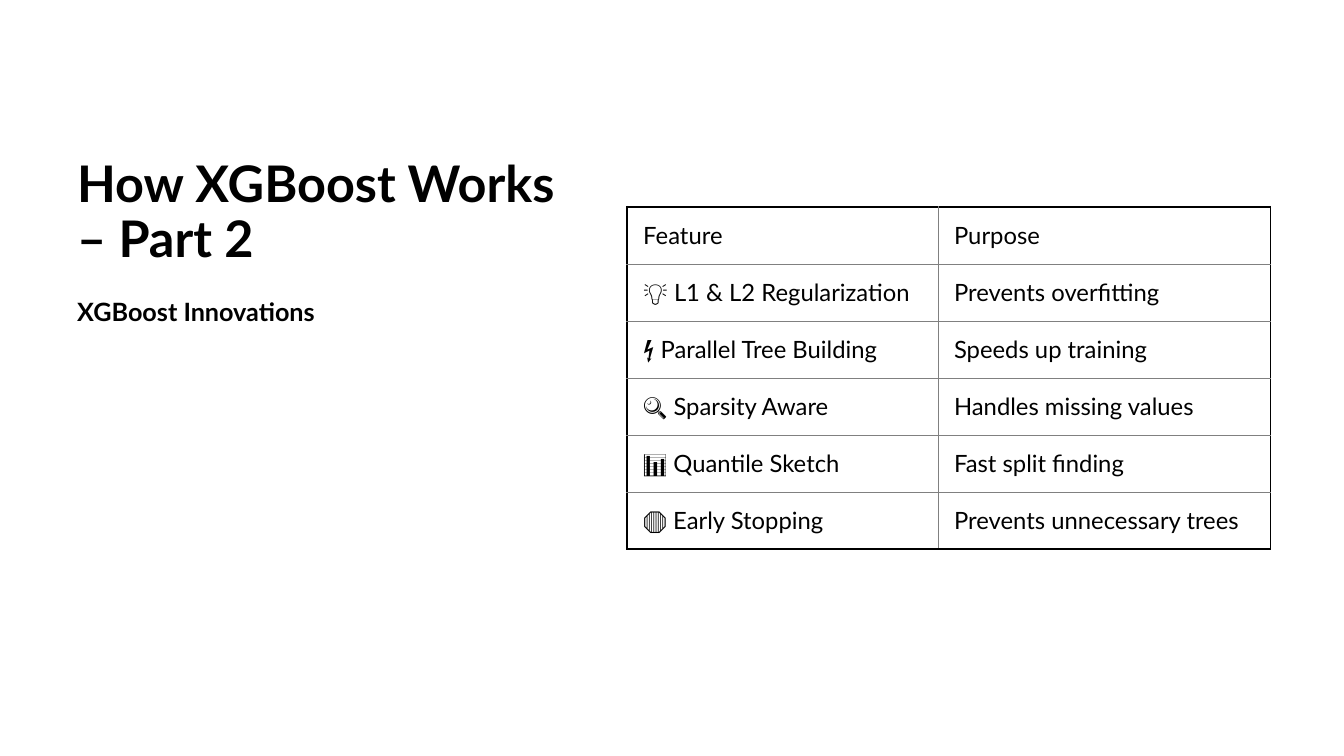
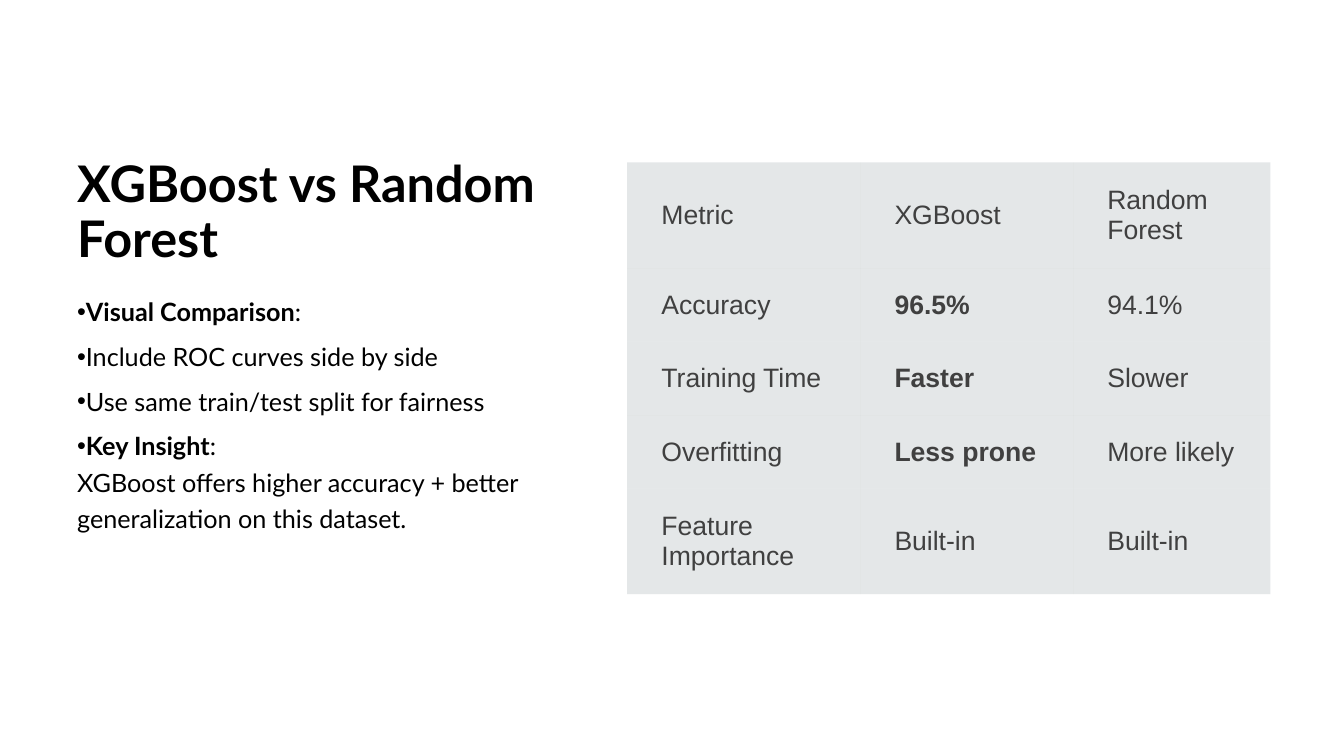
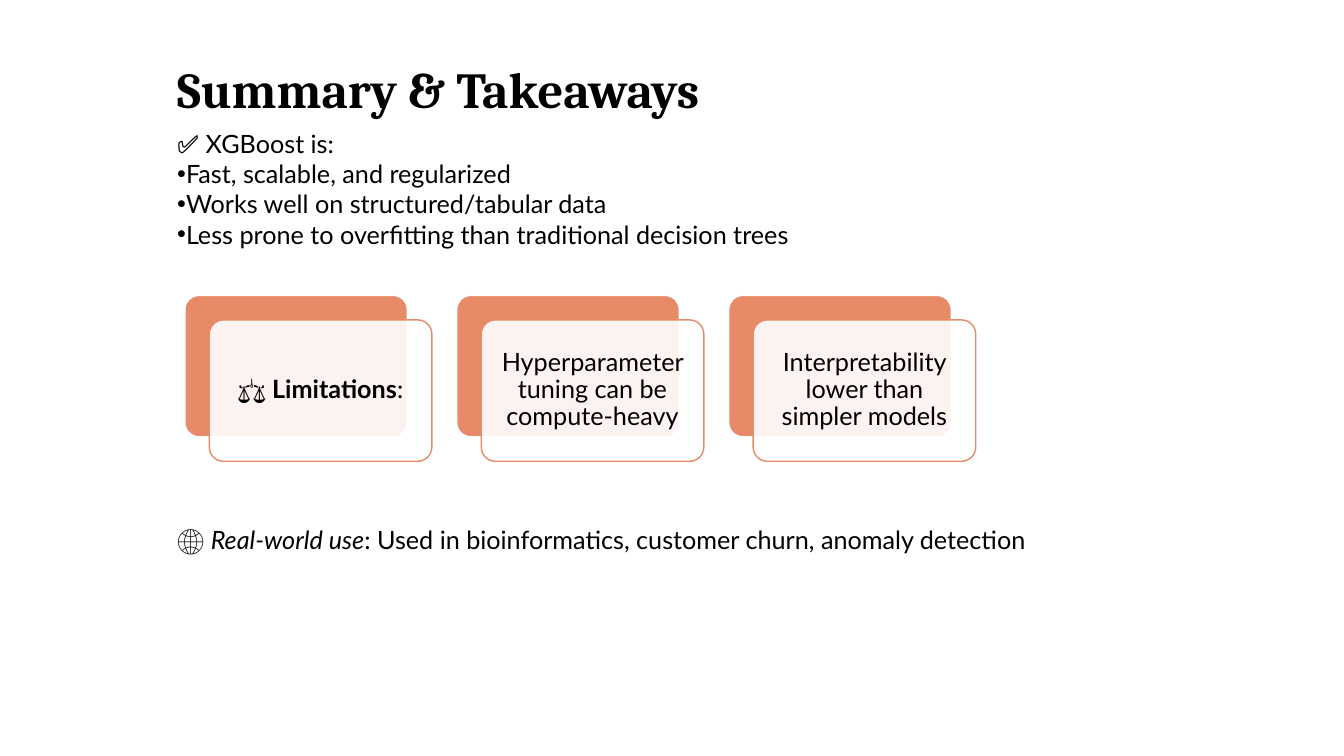
from collections.abc import Sequence
from dataclasses import dataclass

from lxml.etree import SubElement
from pptx import Presentation
from pptx.dml.color import RGBColor
from pptx.enum.shapes import MSO_SHAPE as Preset
from pptx.enum.text import MSO_ANCHOR as Anchor, PP_ALIGN as Align
from pptx.oxml.ns import qn
from pptx.util import Pt


@dataclass(frozen=True)
class Theme:
    black: str = "000000"
    white: str = "FFFFFF"
    grid: str = "808080"
    table_text: str = "404040"
    table_fill: str = "B4BCBE"
    coral: str = "E78A67"
    body_font: str = "Lato"
    serif_font: str = "Cambria"
    table_font: str = "Arial"
    title_size: float = 36
    body_size: float = 18
    feature_size: float = 17
    metric_size: float = 19


THEME = Theme()


@dataclass(frozen=True)
class Box:
    left: float
    top: float
    width: float
    height: float

    def lengths(self) -> tuple:
        return Pt(self.left), Pt(self.top), Pt(self.width), Pt(self.height)


@dataclass(frozen=True)
class Run:
    text: str
    bold: bool = False
    italic: bool = False


@dataclass(frozen=True)
class Line:
    runs: tuple[Run, ...]
    bullet: bool = False


@dataclass(frozen=True)
class TableStyle:
    font: str
    size: float
    color: str
    left_inset: float
    inset: float
    fill: str | None = None
    opacity: int = 100
    outer_border: float = 0
    inner_border: float = 0


SIDE_TITLE = Box(48, 88, 363.5, 107)
SIDE_BODY = Box(48, 204, 363.5, 248)
SUMMARY_TITLE = Box(119.5, 43, 721.5, 89)
SUMMARY_BODY = Box(119.5, 88, 480, 94)
SUMMARY_CLOSING = Box(119.5, 371, 664, 51)
CARD = Box(132, 211, 159, 101)
CARD_STEP = 194.25
CARD_OFFSET = 17.5

FEATURE_STYLE = TableStyle(
    THEME.body_font, THEME.feature_size, THEME.black, 11.5, 8.5,
    outer_border=1.5, inner_border=0.5,
)
METRIC_STYLE = TableStyle(
    THEME.table_font, THEME.metric_size, THEME.table_text, 24.5, 13,
    fill=THEME.table_fill, opacity=35,
)


def plain(text: str, bullet: bool = False, bold: bool = False) -> Line:
    return Line((Run(text, bold),), bullet)


def write_text(
    frame,
    lines: Sequence[Line],
    *,
    font: str = THEME.body_font,
    size: float = THEME.body_size,
    color: str = THEME.black,
    align: Align = Align.LEFT,
    anchor: Anchor = Anchor.TOP,
    spacing: float = 1.0,
    after: float = 0,
    insets: tuple[float, float, float, float] = (7.2, 3.6, 7.2, 3.6),
) -> None:
    frame.word_wrap = True
    frame.vertical_anchor = anchor
    frame.margin_left, frame.margin_top, frame.margin_right, frame.margin_bottom = map(Pt, insets)
    for index, line in enumerate(lines):
        paragraph = frame.add_paragraph() if index else frame.paragraphs[0]
        paragraph.alignment = align
        paragraph.line_spacing = spacing
        paragraph.space_after = Pt(after)
        if line.bullet:
            properties = paragraph._p.get_or_add_pPr()
            properties.set("marL", "0")
            properties.set("indent", "0")
            SubElement(properties, qn("a:buFont"), typeface="Arial")
            SubElement(properties, qn("a:buChar"), char="•")
        for part in line.runs:
            for position, piece in enumerate(part.text.split("\n")):
                if position:
                    paragraph.add_line_break()
                run = paragraph.add_run()
                run.text = piece
                run.font.name = font
                run.font.size = Pt(size)
                run.font.bold = part.bold
                run.font.italic = part.italic
                run.font.color.rgb = RGBColor.from_string(color)


def add_text(slide, box: Box, lines: Sequence[Line], **text_format) -> None:
    shape = slide.shapes.add_textbox(*box.lengths())
    write_text(shape.text_frame, lines, **text_format)


def add_title(slide, text: str, box: Box = SIDE_TITLE, **text_format) -> None:
    add_text(slide, box, [plain(text, bold=True)], size=THEME.title_size, spacing=0.9, **text_format)


def set_opacity(properties, percent: int) -> None:
    color = properties.find(f"{qn('a:solidFill')}/{qn('a:srgbClr')}")
    SubElement(color, qn("a:alpha"), val=str(percent * 1000))


def set_border(properties, side: str, width: float, color: str) -> None:
    line = SubElement(properties, qn(f"a:ln{side}"), w=str(Pt(width)))
    if width:
        fill = SubElement(line, qn("a:solidFill"))
        SubElement(fill, qn("a:srgbClr"), val=color)
    else:
        SubElement(line, qn("a:noFill"))


def add_table(
    slide,
    left: float,
    top: float,
    widths: Sequence[float],
    heights: Sequence[float],
    rows: Sequence[Sequence[Run]],
    style: TableStyle,
) -> None:
    box = Box(left, top, sum(widths), sum(heights))
    table = slide.shapes.add_table(len(heights), len(widths), *box.lengths()).table
    table.first_row = table.horz_banding = False
    for column, width in zip(table.columns, widths):
        column.width = Pt(width)
    for row, height in zip(table.rows, heights):
        row.height = Pt(height)
    for row_index, row in enumerate(rows):
        for column_index, run in enumerate(row):
            cell = table.cell(row_index, column_index)
            write_text(
                cell.text_frame, [Line((run,))],
                font=style.font, size=style.size, color=style.color,
            )
            cell.vertical_anchor = Anchor.MIDDLE
            cell.margin_left = Pt(style.left_inset)
            cell.margin_top = cell.margin_right = cell.margin_bottom = Pt(style.inset)
            properties = cell._tc.get_or_add_tcPr()
            edges = {
                "L": column_index == 0,
                "R": column_index == len(widths) - 1,
                "T": row_index == 0,
                "B": row_index == len(heights) - 1,
            }
            for side, is_outer in edges.items():
                if is_outer:
                    set_border(properties, side, style.outer_border, THEME.black)
                else:
                    set_border(properties, side, style.inner_border, THEME.grid)
            if style.fill:
                cell.fill.solid()
                cell.fill.fore_color.rgb = RGBColor.from_string(style.fill)
                set_opacity(properties, style.opacity)
            else:
                cell.fill.background()


def add_card_layer(slide, box: Box, fill: str, line: str):
    shape = slide.shapes.add_shape(Preset.ROUNDED_RECTANGLE, *box.lengths())
    shape.adjustments[0] = 0.1
    shape.shadow.inherit = False
    shape.fill.solid()
    shape.fill.fore_color.rgb = RGBColor.from_string(fill)
    shape.line.color.rgb = RGBColor.from_string(line)
    shape.line.width = Pt(1)
    return shape


def add_card(slide, index: int, line: Line) -> None:
    left = CARD.left + index * CARD_STEP
    back = Box(left, CARD.top, CARD.width, CARD.height)
    front = Box(left + CARD_OFFSET, CARD.top + CARD_OFFSET, CARD.width, CARD.height)
    add_card_layer(slide, back, THEME.coral, THEME.white)
    shape = add_card_layer(slide, front, THEME.white, THEME.coral)
    set_opacity(shape.element.spPr, 90)
    write_text(
        shape.text_frame, [line],
        align=Align.CENTER, anchor=Anchor.MIDDLE, spacing=0.9, insets=(5, 5, 5, 5),
    )


def build_features(slide) -> None:
    add_title(slide, "How XGBoost Works – Part 2", anchor=Anchor.BOTTOM)
    add_text(slide, SIDE_BODY, [plain("XGBoost Innovations", bold=True)], spacing=1.2, after=6)
    features = [
        ("Feature", "Purpose"),
        ("💡 L1 & L2 Regularization", "Prevents overfitting"),
        ("⚡ Parallel Tree Building", "Speeds up training"),
        ("🔍 Sparsity Aware", "Handles missing values"),
        ("📊 Quantile Sketch", "Fast split finding"),
        ("🛑 Early Stopping", "Prevents unnecessary trees"),
    ]
    rows = [[Run(text) for text in row] for row in features]
    add_table(slide, 448, 147.75, [222, 237.5], [40.75] * len(rows), rows, FEATURE_STYLE)


def build_comparison(slide) -> None:
    add_title(slide, "XGBoost vs Random Forest", anchor=Anchor.BOTTOM)
    insight = ":\nXGBoost offers higher accuracy + better generalization on this dataset."
    lines = [
        Line((Run("Visual Comparison", bold=True), Run(":")), bullet=True),
        plain("Include ROC curves side by side", bullet=True),
        plain("Use same train/test split for fairness", bullet=True),
        Line((Run("Key Insight", bold=True), Run(insight)), bullet=True),
    ]
    add_text(slide, SIDE_BODY, lines, spacing=1.2, after=6)
    metrics = [
        ("Metric", "XGBoost", "Random Forest"),
        ("Accuracy", "96.5%", "94.1%"),
        ("Training Time", "Faster", "Slower"),
        ("Overfitting", "Less prone", "More likely"),
        ("Feature Importance", "Built-in", "Built-in"),
    ]
    winners = {"96.5%", "Faster", "Less prone"}
    rows = [[Run(text, bold=text in winners) for text in row] for row in metrics]
    heights = [75.5, 52.5, 52.5, 52.5, 75.5]
    add_table(slide, 448, 116, [166.5, 152, 141], heights, rows, METRIC_STYLE)


def build_summary(slide) -> None:
    add_title(slide, "Summary & Takeaways", SUMMARY_TITLE, font=THEME.serif_font)
    limitations = [
        Line((Run("⚖️ "), Run("Limitations", bold=True), Run(":"))),
        plain("Hyperparameter tuning can be compute-heavy"),
        plain("Interpretability lower than simpler models"),
    ]
    for index, line in enumerate(limitations):
        add_card(slide, index, line)
    strengths = [
        plain("✅ XGBoost is:"),
        plain("Fast, scalable, and regularized", bullet=True),
        plain("Works well on structured/tabular data", bullet=True),
        plain("Less prone to overfitting than traditional decision trees", bullet=True),
    ]
    add_text(slide, SUMMARY_BODY, strengths)
    closing = Line((
        Run("🌐 "),
        Run("Real-world use", italic=True),
        Run(": Used in bioinformatics, customer churn, anomaly detection"),
    ))
    add_text(slide, SUMMARY_CLOSING, [closing])


def main() -> None:
    presentation = Presentation()
    presentation.slide_width = Pt(960)
    presentation.slide_height = Pt(540)
    blank = presentation.slide_layouts[6]
    for build in (build_features, build_comparison, build_summary):
        build(presentation.slides.add_slide(blank))
    presentation.save("out.pptx")


if __name__ == "__main__":
    main()
